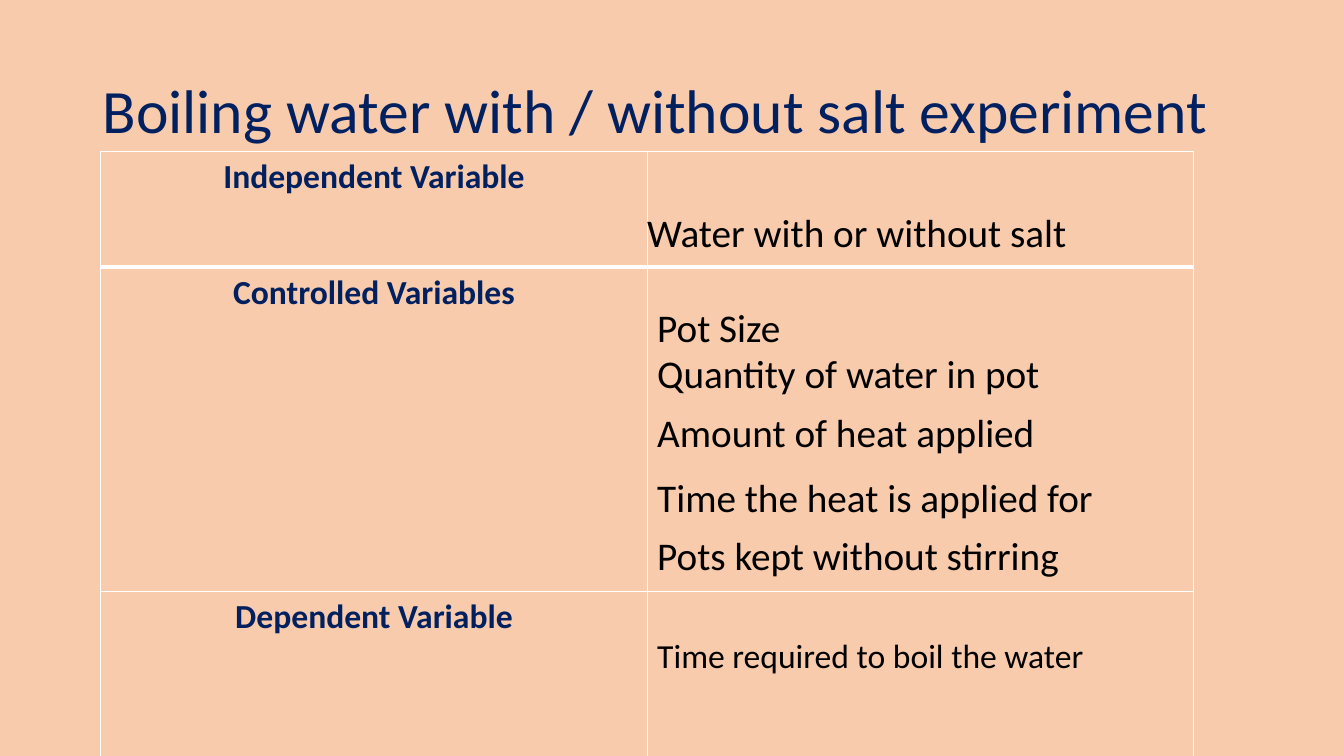
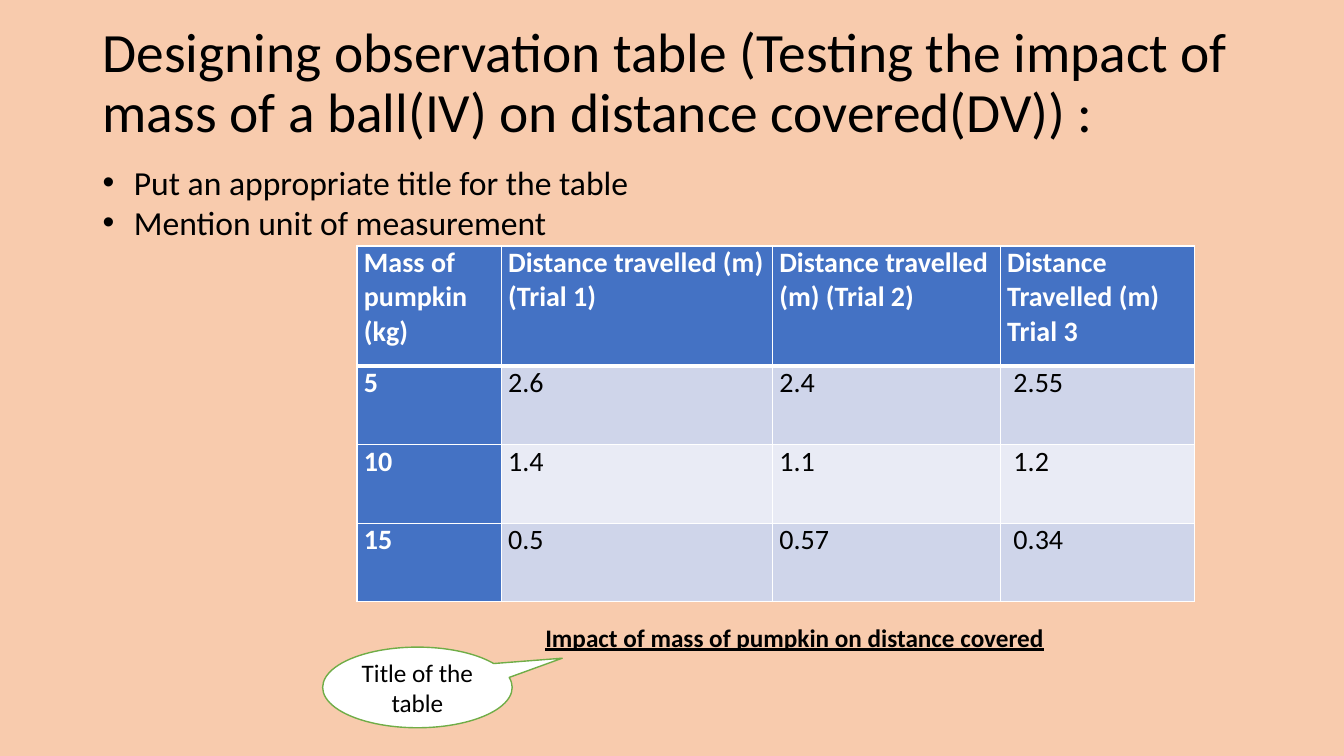
from lxml import etree
from pptx import Presentation
from pptx.dml.color import RGBColor
from pptx.enum.shapes import MSO_SHAPE
from pptx.enum.text import MSO_ANCHOR, PP_ALIGN
from pptx.oxml.ns import qn
from pptx.util import Inches, Pt

CENTER, LEFT = PP_ALIGN.CENTER, PP_ALIGN.LEFT
TOP, MIDDLE = MSO_ANCHOR.TOP, MSO_ANCHOR.MIDDLE
CALLOUT = MSO_SHAPE.OVAL_CALLOUT

FONT = "Calibri"
HUES = {"peach": "F8CBAD", "navy": "002060", "black": "000000", "white": "FFFFFF",
        "blue": "4472C4", "dark": "CFD5EA", "pale": "E9EBF5", "green": "70AD47"}

SALT_TITLE = "Boiling water with / without salt experiment"
KINDS = ["Independent Variable", "Controlled Variables", "Dependent Variable"]
FACTS = [
    ("Water with or without salt", 6.32, 2.02, 5.71, 28),
    ("Pot Size", 6.42, 2.96, 3.58, 28),
    ("Quantity of water in pot", 6.42, 3.42, 5.32, 28),
    ("Amount of heat applied", 6.42, 4, 4.98, 28),
    ("Time the heat is applied for", 6.42, 4.65, 6.11, 28),
    ("Pots kept without stirring", 6.42, 5.22, 5.32, 28),
    ("Time required to boil the water", 6.42, 6.25, 5.12, 24),
]

BALL_TITLE = ("Designing observation table (Testing the impact of mass of a ball(IV) "
              "on distance covered(DV)) :")
TIPS = ["Put an appropriate title for the table", "Mention unit of measurement"]
TRIALS = [
    ["Mass of pumpkin (kg)", "Distance travelled (m)\n(Trial 1)",
     "Distance travelled (m) (Trial 2)", "Distance Travelled (m) Trial 3"],
    ["5", "2.6", "2.4", " 2.55"],
    ["10", "1.4", "1.1", " 1.2"],
    ["15", "0.5", "0.57", " 0.34"],
]
CAPTION = "Impact of mass of pumpkin on distance covered"
NOTE = "Title of the table"


def rgb(hue):
    return RGBColor.from_string(HUES[hue])


def style(frame, size, hue="black", bold=False, align=LEFT, lead=None):
    for para in frame.paragraphs:
        para.alignment = align
        if lead:
            para.line_spacing = lead
        font = para.font
        font.name, font.size, font.bold = FONT, Pt(size), bold
        font.color.rgb = rgb(hue)


def add_text(slide, text, box, size, hue="black", anchor=TOP, lead=None, wrap=True):
    frame = slide.shapes.add_textbox(*map(Inches, box)).text_frame
    frame.word_wrap, frame.vertical_anchor = wrap, anchor
    frame.text = text
    style(frame, size, hue, lead=lead)
    return frame


def add_title(slide, text, high, size, hue):
    add_text(slide, text, (0.92, 0.4, 11.5, high), size, hue, MIDDLE, 0.9)


def add_bullets(frame, indent):
    for para in frame.paragraphs:
        props = para._p.get_or_add_pPr()
        props.set("marL", str(Inches(indent)))
        props.set("indent", str(-Inches(indent)))
        mark = etree.SubElement(props, qn("a:buFont"))
        mark.set("typeface", "Arial")
        etree.SubElement(props, qn("a:buChar")).set("char", "•")


def add_edges(cell, row):
    props = cell._tc.get_or_add_tcPr()
    widths = {"L": 1, "R": 1, "T": 3 if row == 1 else 1, "B": 3 if row == 0 else 1}
    for side, width in widths.items():
        line = etree.SubElement(props, qn("a:ln" + side))
        line.set("w", str(Pt(width)))
        fill = etree.SubElement(line, qn("a:solidFill"))
        etree.SubElement(fill, qn("a:srgbClr")).set("val", HUES["white"])


def add_grid(slide, left, top, cols, rows):
    box = map(Inches, (left, top, sum(cols), sum(rows)))
    grid = slide.shapes.add_table(len(rows), len(cols), *box).table
    for col, wide in zip(grid.columns, cols):
        col.width = Inches(wide)
    for row, high in zip(grid.rows, rows):
        row.height = Inches(high)
    for r in range(len(rows)):
        for c in range(len(cols)):
            add_edges(grid.cell(r, c), r)
    return grid


def build_salt(slide):
    grid = add_grid(slide, 1, 1.5, [5.42] * 2, [1.15, 3.22, 1.76])
    for cell in grid.iter_cells():
        cell.fill.background()
    for r, kind in enumerate(KINDS):
        cell = grid.cell(r, 0)
        cell.text = kind
        style(cell.text_frame, 24, "navy", True, CENTER)
    add_title(slide, SALT_TITLE, 1.45, 44, "navy")
    for text, left, top, wide, size in FACTS:
        add_text(slide, text, (left, top, wide, 0.57), size)


def build_ball(slide):
    add_title(slide, BALL_TITLE, 0.88, 39.6, "black")
    grid = add_grid(slide, 3.54, 2.44, [1.43, 2.69, 2.26, 1.93], [1.19] + [0.78] * 3)
    for r, row in enumerate(TRIALS):
        for c, text in enumerate(row):
            cell = grid.cell(r, c)
            head = r == 0 or c == 0
            cell.margin_left = cell.margin_right = Inches(0.07)
            cell.margin_top = cell.margin_bottom = 0
            cell.text = text
            style(cell.text_frame, 20, "white" if head else "black", head)
            cell.fill.solid()
            cell.fill.fore_color.rgb = rgb("blue" if head else "dark" if r % 2 else "pale")

    tips = add_text(slide, "\n".join(TIPS), (0.92, 1.55, 10.94, 0.91), 24, anchor=MIDDLE)
    for para in tips.paragraphs:
        para.font.color.rgb = rgb("black")
    add_tips = tips
    for para in add_tips.paragraphs:
        kids = list(para._p.pPr)
        for kid in kids:
            para._p.pPr.remove(kid)
    add_bullets(tips, 0.31)
    style(tips, 24)

    font = add_text(slide, CAPTION, (5.31, 6.12, 5.19, 0.4), 18, wrap=False).paragraphs[0].font
    font.bold = font.underline = True

    note = slide.shapes.add_shape(CALLOUT, *map(Inches, (3.2, 6.42, 1.88, 0.8)))
    note.shadow.inherit = False
    note.adjustments[0], note.adjustments[1] = 0.764, -0.362
    note.fill.solid()
    note.fill.fore_color.rgb = rgb("white")
    note.line.color.rgb = rgb("green")
    note.line.width = Pt(1)
    note.text_frame.text = NOTE
    note.text_frame.vertical_anchor = MIDDLE
    style(note.text_frame, 18, align=CENTER)


def main():
    deck = Presentation()
    deck.slide_width, deck.slide_height = Inches(13.33), Inches(7.5)
    back = deck.slide_master.background.fill
    back.solid()
    back.fore_color.rgb = rgb("peach")
    for build in (build_salt, build_ball):
        build(deck.slides.add_slide(deck.slide_layouts[6]))
    deck.save("out.pptx")


if __name__ == "__main__":
    main()
